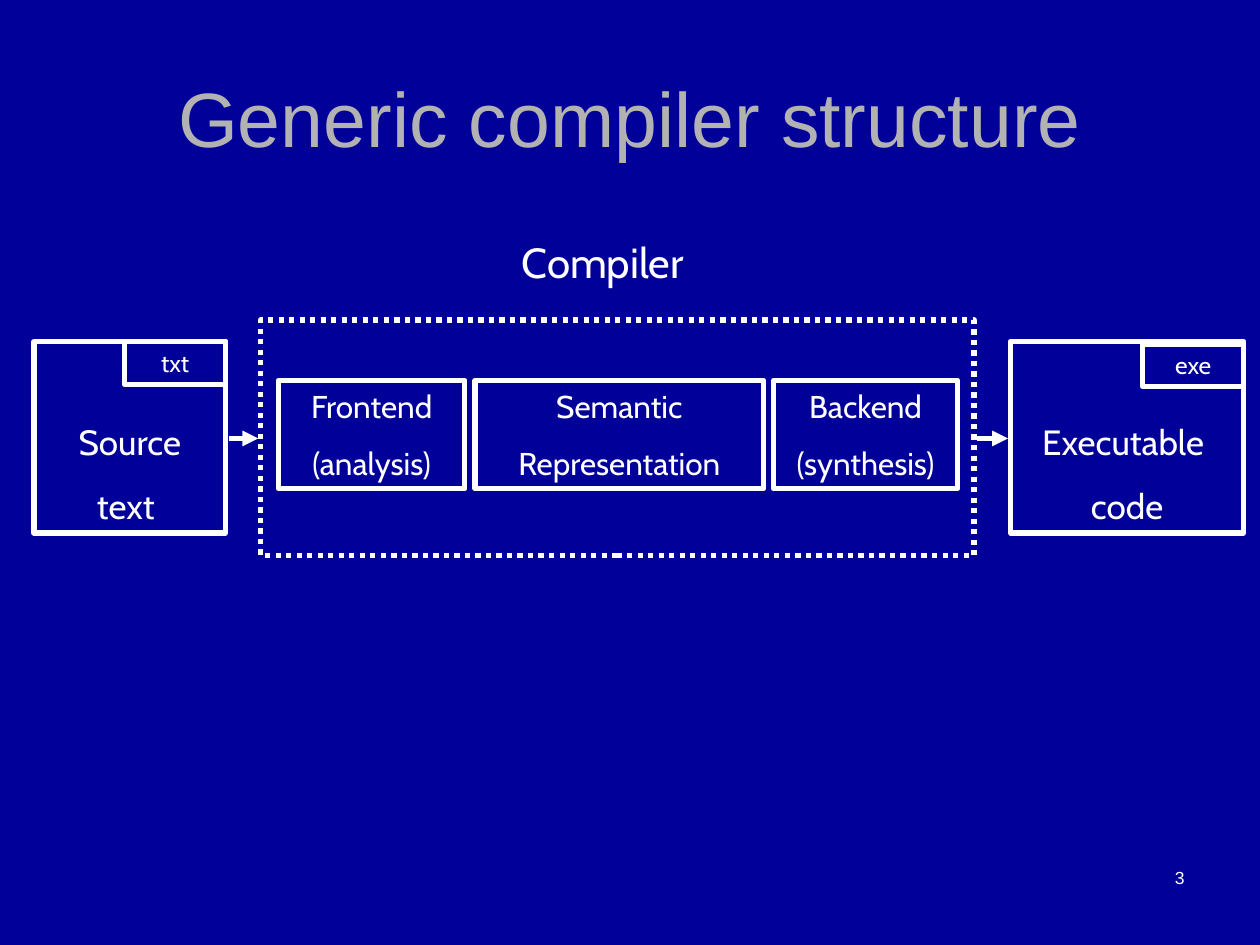
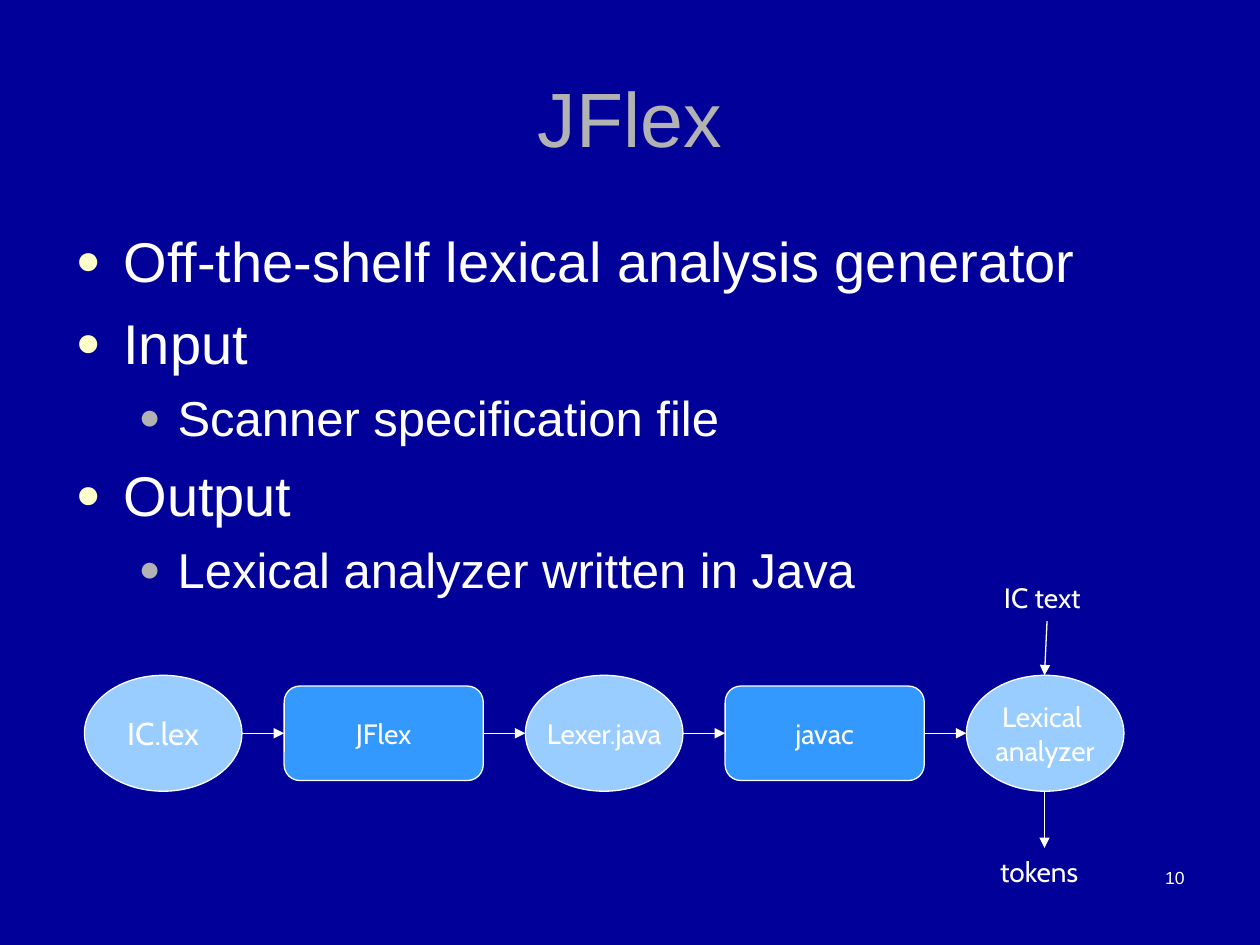
import pptx
import pptx.util
import pptx.dml.color
import pptx.enum.dml
import pptx.enum.shapes
import pptx.enum.text
import pptx.oxml
import pptx.oxml.ns
import lxml.etree

Inches = pptx.util.Inches
Pt = pptx.util.Pt
Shape = pptx.enum.shapes.MSO_SHAPE
Align = pptx.enum.text.PP_ALIGN
Anchor = pptx.enum.text.MSO_ANCHOR
NAVY, WHITE, GREY, CREAM = "010199", "FFFFFF", "B2B2B2", "FFFFCC"
BLUE, SKY = "3399FF", "99CCFF"
THICK, THIN = 3, 0.74
LEVELS = [
    {"size": 32, "gap": 8, "left": 0.38, "hang": -0.38, "dot": CREAM},
    {"size": 28, "gap": 7, "left": 0.81, "hang": -0.31, "dot": GREY},
]


def shade(color, value):
    """Set a colour format from a hex string."""
    color.rgb = pptx.dml.color.RGBColor.from_string(value)


def apply(target, values):
    """Set attributes from a dict of format values."""
    for name, value in values.items():
        setattr(target, name, value)


def place(shape, box):
    """Move a shape to a box of left, top, width and height."""
    names = ("left", "top", "width", "height")
    apply(shape, dict(zip(names, map(Inches, box))))


def node(parent, tag, **values):
    """Append a drawing element with attributes."""
    child = lxml.etree.SubElement(parent, pptx.oxml.ns.qn(tag))
    for name, value in values.items():
        child.set(name, str(value))
    return child


def write(shape, lines, size, font="Cabin", color=WHITE, align=Align.CENTER,
          gap=0, wrap=True, anchor=Anchor.TOP, inset=0.05):
    """Fill a shape with one paragraph for each line."""
    frame = shape.text_frame
    apply(frame, {"word_wrap": wrap, "vertical_anchor": anchor,
                  "auto_size": pptx.enum.text.MSO_AUTO_SIZE.NONE,
                  "margin_top": Inches(inset), "margin_bottom": Inches(0.05)})
    for count, line in enumerate(lines):
        para = frame.add_paragraph() if count else frame.paragraphs[0]
        para.text = line
        apply(para, {"alignment": align, "space_before": Pt(gap)})
        apply(para.font, {"size": Pt(size), "name": font})
        shade(para.font.color, color)
    return frame


def label(slide, box, text, size, **style):
    """Add a line of free text."""
    shape = slide.shapes.add_textbox(0, 0, 0, 0)
    place(shape, box)
    write(shape, [text], size, **style)


def block(slide, kind, box, width, fill=None):
    """Add an outlined shape."""
    shape = slide.shapes.add_shape(kind, 0, 0, 0, 0)
    place(shape, box)
    shape.shadow.inherit = False
    if fill:
        shape.fill.solid()
        shade(shape.fill.fore_color, fill)
    else:
        shape.fill.background()
    shade(shape.line.color, WHITE)
    shape.line.width = Pt(width)
    return shape


def arrow(slide, start, end, width):
    """Add a line with an arrowhead at its end."""
    line = slide.shapes.add_connector(
        pptx.enum.shapes.MSO_CONNECTOR.STRAIGHT, *map(Inches, start + end))
    shade(line.line.color, WHITE)
    line.line.width = Pt(width)
    node(line.line._get_or_add_ln(), "a:tailEnd", type="triangle")
    node(line._element.spPr, "a:effectLst")


def begin(deck, layout, title, number):
    """Start a slide with its title and number."""
    slide = deck.slides.add_slide(deck.slide_layouts[layout])
    place(slide.shapes.title, (0.5, 0.3, 9, 1.25))
    write(slide.shapes.title, [title], 44, "Arial", GREY, anchor=Anchor.MIDDLE)
    label(slide, (7.17, 6.83, 2.33, 0.5), number, 10, font="Arial",
          align=Align.RIGHT)
    return slide


def file(slide, box, lines, tag, drop=0):
    """Draw a file box with its type in the top right corner."""
    left, top, width, height = box
    shape = block(slide, Shape.RECTANGLE, box, THICK)
    write(shape, lines, 20, gap=12.5, inset=0.63)
    corner = (left + width - 0.8, top + drop, 0.8, 0.34)
    write(block(slide, Shape.RECTANGLE, corner, THICK), [tag], 14)


def stages(slide, box):
    """Draw the dotted compiler frame and its three parts."""
    left, top, width, height = box
    label(slide, (left + 1.56, top - 0.71, 2.31, 0.5), "Compiler", 24)
    frame = block(slide, Shape.RECTANGLE, box, THICK)
    frame.line.dash_style = pptx.enum.dml.MSO_LINE.ROUND_DOT
    spot = left + 0.14
    for wide, lines in ((1.48, ("Frontend", "(analysis)")),
                        (2.29, ("Semantic", "Representation")),
                        (1.46, ("Backend", "(synthesis)"))):
        part = (spot, top + 0.48, wide, 0.86)
        write(block(slide, Shape.RECTANGLE, part, THICK), lines, 18, gap=11.2)
        spot += wide + 0.08


def bullets(slide, box, items):
    """Fill the body placeholder with a list of two levels."""
    body = slide.placeholders[1]
    place(body, box)
    frame = write(body, [text for level, text in items], 32, "Arial",
                  align=Align.LEFT)
    for para, (level, text) in zip(frame.paragraphs, items):
        look = LEVELS[level]
        apply(para, {"level": level, "space_before": Pt(look["gap"])})
        para.font.size = Pt(look["size"])
        props = para._p.get_or_add_pPr()
        props.set("marL", str(Inches(look["left"])))
        props.set("indent", str(Inches(look["hang"])))
        node(node(props, "a:buClr"), "a:srgbClr", val=look["dot"])
        node(props, "a:buSzPct", val=75000)
        node(props, "a:buChar", char="●")


def chain(slide, box, steps):
    """Draw ovals and round boxes in turn, joined by arrows."""
    left, top, width, height = box
    kinds = ((Shape.OVAL, 1.25, height, SKY),
             (Shape.ROUNDED_RECTANGLE, 1.58, 0.75, BLUE))
    total = sum(kinds[i % 2][1] for i in range(len(steps)))
    gap = (width - total) / (len(steps) - 1)
    middle = top + height / 2
    spot = left
    for count, (text, size) in enumerate(steps):
        kind, wide, tall, fill = kinds[count % 2]
        part = (spot, middle - tall / 2, wide, tall)
        write(block(slide, kind, part, THIN, fill), [text], size,
              wrap=False, anchor=Anchor.MIDDLE)
        if count:
            arrow(slide, (spot - gap, middle), (spot, middle), THIN)
        spot += wide + gap
    centre = left + width - 0.63
    base = top + height
    label(slide, (centre - 0.42, top - 0.8, 0.87, 0.37), "IC text", 16,
          align=Align.LEFT, wrap=False)
    label(slide, (centre - 0.45, base + 0.45, 0.9, 0.37), "tokens", 16,
          align=Align.LEFT, wrap=False)
    arrow(slide, (centre + 0.02, top - 0.43), (centre, top), THIN)
    arrow(slide, (centre, base), (centre, base + 0.45), THIN)


def design(deck):
    """Build the slide on compiler structure."""
    slide = begin(deck, 5, "Generic compiler structure", "3")
    file(slide, (8.02, 2.71, 1.85, 1.52), ("Executable ", "code"), "exe", 0.02)
    file(slide, (0.27, 2.71, 1.52, 1.52), ("Source", "text "), "txt")
    for start, end in ((1.82, 2.05), (7.75, 8), (2.05, 2.05)):
        arrow(slide, (start, 3.48), (end, 3.48), THICK)
    stages(slide, (2.07, 2.54, 5.66, 1.87))


def lexer(deck):
    """Build the slide on the lexer tool."""
    slide = begin(deck, 1, "JFlex", "10")
    bullets(slide, (0.5, 1.75, 9, 4.95), (
        (0, "Off-the-shelf lexical analysis generator"),
        (0, "Input"),
        (1, "Scanner specification file"),
        (0, "Output"),
        (1, "Lexical analyzer written in Java")))
    chain(slide, (0.67, 5.36, 8.25, 0.92), (
        ("IC.lex", 18), ("JFlex", 16), ("Lexer.java", 16), ("javac", 16),
        ("Lexical \vanalyzer", 16)))


def main():
    """Build and save the deck."""
    deck = pptx.Presentation()
    apply(deck, {"slide_width": Inches(10), "slide_height": Inches(7.5)})
    fill = deck.slide_master.background.fill
    fill.solid()
    shade(fill.fore_color, NAVY)
    design(deck)
    lexer(deck)
    deck.save("out.pptx")


main()
